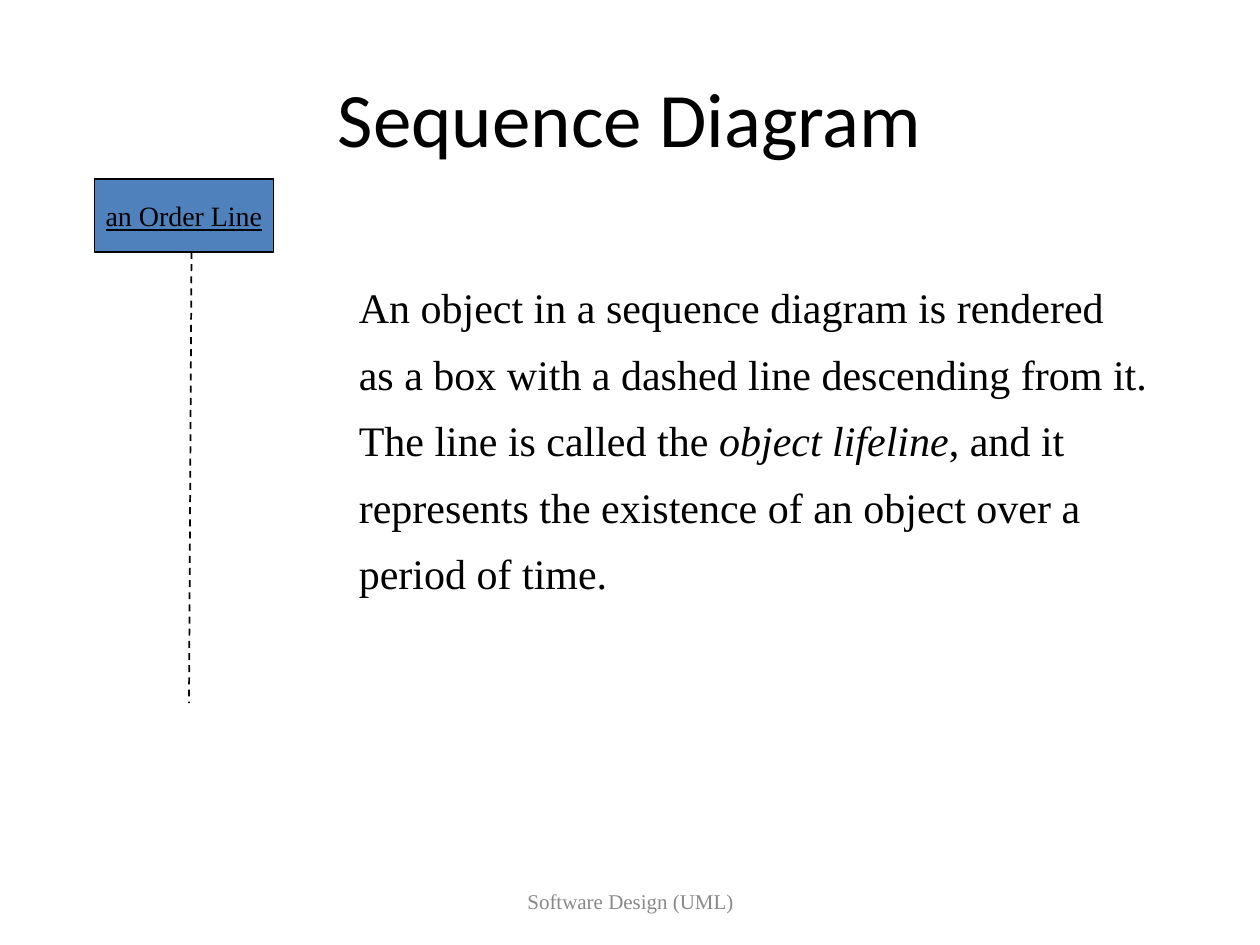
from lxml import etree
from pptx import Presentation
from pptx import util as u
from pptx.dml.color import RGBColor
from pptx.enum import dml, shapes, text
from pptx.oxml import ns

BLACK = RGBColor(0x00, 0x00, 0x00)
GRAY = RGBColor(0x89, 0x89, 0x89)
BLUE = RGBColor(0x4F, 0x81, 0xBD)
WHITE = RGBColor(0xFF, 0xFF, 0xFF)

DESCRIPTION = [
    ["An object in a sequence diagram is rendered"],
    ["as a box with a dashed line descending from it."],
    ["The line is called the ", "object lifeline", ", and it"],
    ["represents the existence of an object over a"],
    ["period of time."],
]


class DiagramSlide:
    """Holds the fonts of the deck and the slide being built."""

    title_font = "Calibri"
    body_font = "Times New Roman"

    def __init__(self, presentation):
        self.slide = presentation.slides.add_slide(presentation.slide_layouts[5])
        self.slide.background.fill.solid()
        self.slide.background.fill.fore_color.rgb = WHITE

    def place(self, shape, left, top, width, height):
        shape.left, shape.top = u.Inches(left), u.Inches(top)
        shape.width, shape.height = u.Inches(width), u.Inches(height)

    def format_text(self, shape, name, size, color, align, wrap=True):
        frame = shape.text_frame
        frame.word_wrap = wrap
        frame.vertical_anchor = text.MSO_ANCHOR.MIDDLE
        for paragraph in frame.paragraphs:
            paragraph.alignment = align
            for run in paragraph.runs:
                run.font.name = name
                run.font.size = u.Pt(size)
                run.font.color.rgb = color

    def title(self, wording, *box):
        shape = self.slide.shapes.title
        self.place(shape, *box)
        shape.text_frame.text = wording
        self.format_text(shape, self.title_font, 44, BLACK, text.PP_ALIGN.CENTER)

    def footer(self, wording, *box):
        shape = self.slide.shapes.add_textbox(*map(u.Inches, box))
        shape.text_frame.text = wording
        self.format_text(shape, self.body_font, 12, GRAY, text.PP_ALIGN.CENTER)

    def description(self, lines, *box):
        shape = self.slide.shapes.add_textbox(*map(u.Inches, box))
        frame = shape.text_frame
        for index, pieces in enumerate(lines):
            paragraph = frame.add_paragraph() if index else frame.paragraphs[0]
            paragraph.line_spacing = 0.8
            paragraph.space_before = u.Pt(15 if index else 0)
            for position, piece in enumerate(pieces):
                run = paragraph.add_run()
                run.text = piece
                run.font.italic = position == 1
        self.format_text(shape, self.body_font, 24, BLACK, text.PP_ALIGN.LEFT, wrap=False)

    def group(self):
        return self.slide.shapes.add_group_shape().shapes

    def object_box(self, group, wording, *box):
        shape = group.add_shape(shapes.MSO_SHAPE.RECTANGLE, *map(u.Inches, box))
        shape.shadow.inherit = False
        shape.fill.solid()
        shape.fill.fore_color.rgb = BLUE
        shape.line.color.rgb = BLACK
        shape.line.width = u.Pt(1)
        shape.text_frame.text = wording
        self.format_text(shape, self.body_font, 16, BLACK, text.PP_ALIGN.CENTER, wrap=False)
        shape.text_frame.paragraphs[0].runs[0].font.underline = True

    def lifeline(self, group, *ends):
        line = group.add_connector(shapes.MSO_CONNECTOR.STRAIGHT, *map(u.Inches, ends))
        line.line.color.rgb = BLACK
        line.line.width = u.Pt(1)
        line.line.dash_style = dml.MSO_LINE.DASH
        etree.SubElement(line._element.spPr, ns.qn("a:effectLst"))


def main():
    presentation = Presentation()
    presentation.slide_width = u.Inches(10)
    presentation.slide_height = u.Inches(7.5)
    slide = DiagramSlide(presentation)
    slide.title("Sequence Diagram", 0.5, 0.3, 9, 1.25)
    slide.footer("Software Design (UML)", 3.42, 6.95, 3.17, 0.4)
    slide.description(DESCRIPTION, 2.75, 2.26, 6.46, 2.54)
    group = slide.group()
    slide.object_box(group, "an Order Line", 0.75, 1.42, 1.42, 0.58)
    slide.lifeline(group, 1.52, 2, 1.5, 5.58)
    presentation.save("out.pptx")


if __name__ == "__main__":
    main()
